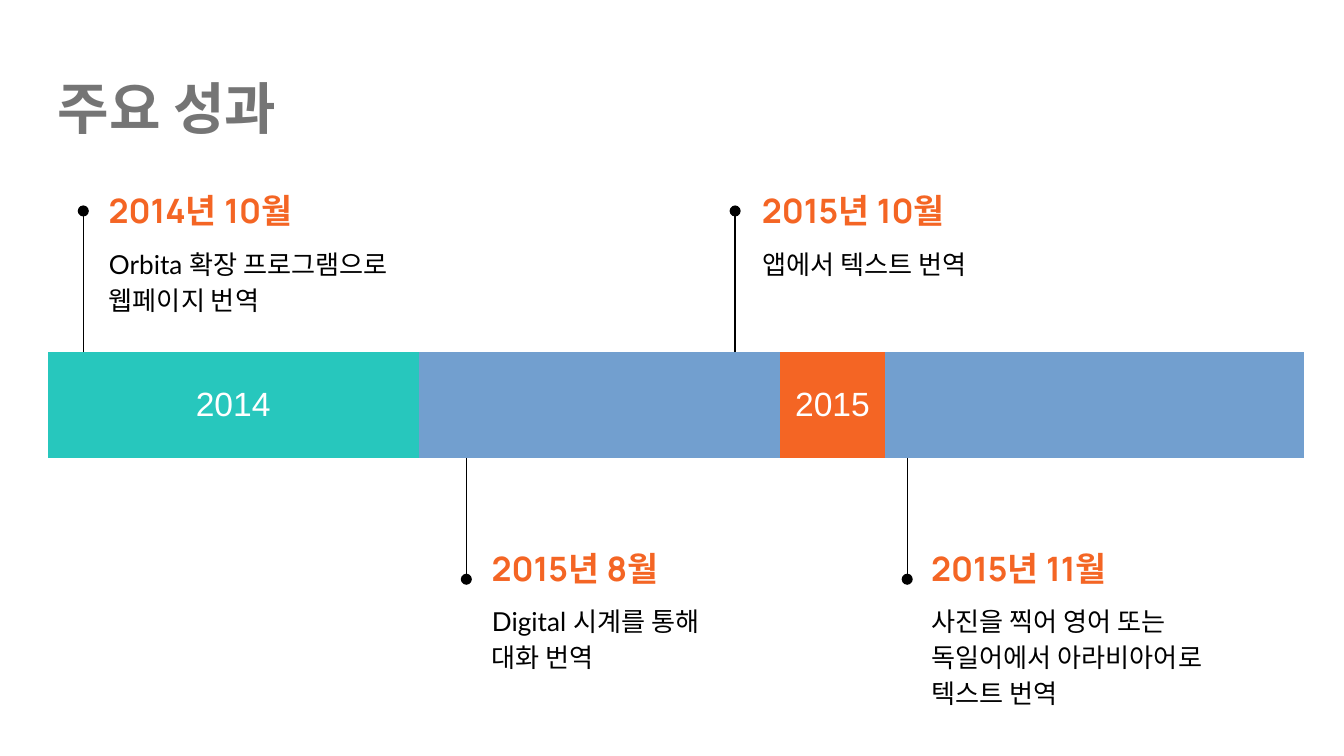
from lxml.etree import SubElement
from pptx import Presentation
from pptx.dml.color import RGBColor
from pptx.enum.shapes import MSO_CONNECTOR
from pptx.enum.text import MSO_ANCHOR, MSO_AUTO_SIZE, PP_ALIGN
from pptx.oxml.ns import qn
from pptx.util import Inches, Pt

COLORS = {
    "title": "757575",
    "orange": "F46524",
    "teal": "27C7BD",
    "blue": "729FCF",
    "black": "000000",
    "white": "FFFFFF",
}


def write(tf, text, font, size, color, bold=False, align=PP_ALIGN.LEFT,
          anchor=MSO_ANCHOR.TOP, line_spacing=1.0, after=0):
    """Fill a text frame with one unbulleted paragraph."""
    tf.word_wrap = True
    tf.auto_size = MSO_AUTO_SIZE.NONE
    tf.vertical_anchor = anchor
    tf.margin_left = tf.margin_right = Inches(0.1)
    tf.margin_top = tf.margin_bottom = Inches(0.1)
    p = tf.paragraphs[0]
    p.text = text
    p.alignment = align
    p.line_spacing = line_spacing
    p.space_before, p.space_after = Pt(0), Pt(after)
    pPr = p._p.get_or_add_pPr()
    pPr.set("marL", "0")
    pPr.set("indent", "0")
    SubElement(pPr, qn("a:buNone"))
    for r in p.runs:
        r.font.name, r.font.size, r.font.bold = font, Pt(size), bold
        r.font.color.rgb = RGBColor.from_string(COLORS[color])


def place(sp, left, top, width, height):
    sp.left, sp.top = Inches(left), Inches(top)
    sp.width, sp.height = Inches(width), Inches(height)


prs = Presentation()
prs.slide_width = Inches(10)
prs.slide_height = prs.slide_width * 9 // 16
s = prs.slides.add_slide(prs.slide_layouts.get_by_name("Comparison"))

title = s.shapes.title
place(title, 0.33, 0.45, 9.32, 0.7)
write(title.text_frame, "주요 성과", "Manrope", 30, "title", bold=True)

# Timeline bar: one table row, with the months of each year merged
BAR_LEFT, BAR_TOP, BAR_HEIGHT = 0.355, 2.62, 0.79
month_widths = [0.78] * 3 + [0.42, 1.13] + [0.78] * 7
table = s.shapes.add_table(1, len(month_widths), Inches(BAR_LEFT), Inches(BAR_TOP),
                           Inches(sum(month_widths)), Inches(BAR_HEIGHT)).table
table.first_row = table.horz_banding = False
for i, width in enumerate(month_widths):
    table.columns[i].width = Inches(width)
    cell = table.cell(0, i)
    cell.fill.solid()
    cell.fill.fore_color.rgb = RGBColor.from_string(COLORS["blue"])
    for position, side in enumerate("LRTB"):
        border = SubElement(cell._tc.tcPr, qn(f"a:ln{side}"), w="0")
        SubElement(border, qn("a:noFill"))
        cell._tc.tcPr.insert(position, border)

for year, first, last, color in [("2014", 0, 3, "teal"), ("2015", 4, 11, "orange")]:
    cell = table.cell(0, first)
    cell.merge(table.cell(0, last))
    cell.fill.fore_color.rgb = RGBColor.from_string(COLORS[color])
    write(cell.text_frame, year, "Arial", 18, "white", align=PP_ALIGN.CENTER)
    cell.vertical_anchor = MSO_ANCHOR.MIDDLE
    cell.margin_left = cell.margin_right = Inches(0.1)
    cell.margin_top = cell.margin_bottom = Inches(0.1)

# Milestones: line x, text left, text width, above the bar, date, description
milestones = [
    (0.62, 0.71, 2.53, True, "2014년 10월", "Orbita 확장 프로그램으로 웹페이지 번역"),
    (3.47, 3.56, 2.53, False, "2015년 8월", "Digital 시계를 통해\n대화 번역"),
    (5.47, 5.57, 2.57, True, "2015년 10월", "앱에서 텍스트 번역"),
    (6.75, 6.83, 2.57, False, "2015년 11월",
     "사진을 찍어 영어 또는 독일어에서 아라비아어로 텍스트 번역"),
]
bodies = [ph for ph in s.placeholders if 1 <= ph.placeholder_format.idx <= 4]
for body, (x, left, width, above, date, description) in zip(bodies, milestones):
    top = 1.35 if above else 4.01
    start, end = (BAR_TOP, 1.57) if above else (BAR_TOP + BAR_HEIGHT, 4.31)

    line = s.shapes.add_connector(MSO_CONNECTOR.STRAIGHT, Inches(x), Inches(start),
                                  Inches(x), Inches(end))
    line.line.color.rgb = RGBColor.from_string(COLORS["black"])
    line.line.width = Pt(0.75)
    SubElement(line.line._get_or_add_ln(), qn("a:tailEnd"), type="oval")
    SubElement(line._element.spPr, qn("a:effectLst"))

    heading = s.shapes.add_textbox(Inches(left), Inches(top), Inches(width), Inches(0.43))
    write(heading.text_frame, date, "Manrope", 18, "orange", bold=True,
          anchor=MSO_ANCHOR.MIDDLE)
    place(body, left, top + 0.36, width, 0.63)
    write(body.text_frame, description, "Lato", 14, "black", line_spacing=1.15, after=16)

prs.save("out.pptx")
